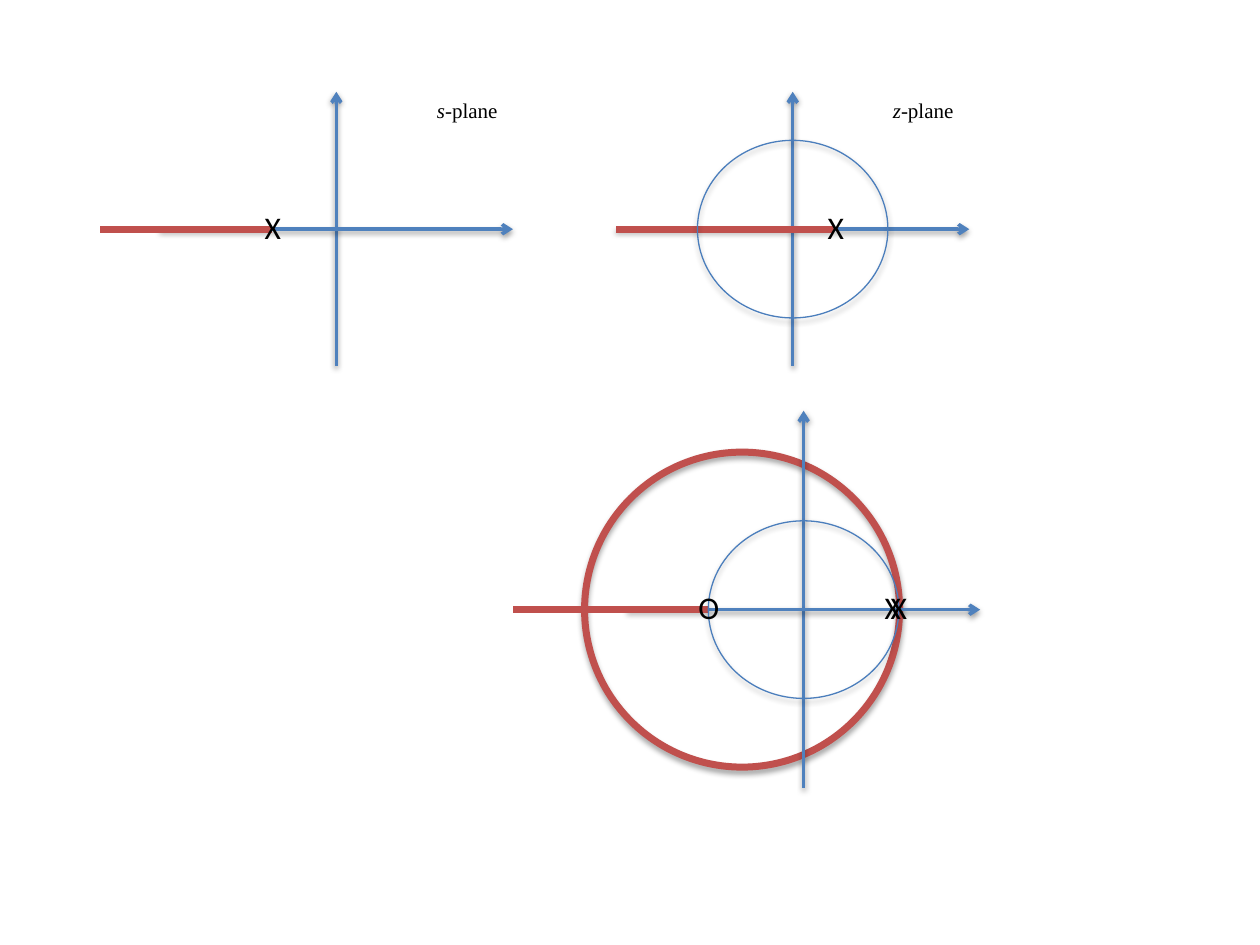
"""Build a slide of root-locus sketches in the s-plane and the z-plane."""
from lxml.etree import SubElement
from pptx import Presentation
from pptx.dml.color import RGBColor
from pptx.enum.shapes import MSO_CONNECTOR as CONN, MSO_SHAPE as SHAPE
from pptx.enum.text import MSO_AUTO_SIZE as AUTO, PP_ALIGN as ALIGN
from pptx.oxml.ns import qn
from pptx.util import Cm, Pt

BLACK = RGBColor(0x00, 0x00, 0x00)
AXIS = RGBColor(0x4F, 0x81, 0xBD)
UNIT = RGBColor(0x4B, 0x7E, 0xBC)
LOCUS = RGBColor(0xC0, 0x50, 0x4D)
AXIS_HALF = 3.56
UNIT_SIZE = (3.84, 3.58)


def set_shadow(sp, alpha=None, dist=0):
    """Replace the theme effect by a downward shadow, or by none."""
    effects = SubElement(sp._element.spPr, qn("a:effectLst"))
    if alpha:
        outer = SubElement(effects, qn("a:outerShdw"), blurRad="40000",
                           dist=str(dist), dir="5400000", rotWithShape="0")
        color = SubElement(outer, qn("a:srgbClr"), val=str(BLACK))
        SubElement(color, qn("a:alpha"), val=str(alpha * 1000))


def add_line(s, x1, y1, x2, y2, color, width):
    """Add a straight line and return it."""
    ln = s.shapes.add_connector(CONN.STRAIGHT, Cm(x1), Cm(y1), Cm(x2), Cm(y2))
    ln.line.color.rgb = color
    ln.line.width = Pt(width)
    return ln


def add_axis(s, x1, y1, x2, y2):
    """Add a shadowed axis with an arrowhead at its end."""
    ln = add_line(s, x1, y1, x2, y2, AXIS, 2)
    SubElement(ln.line._get_or_add_ln(), qn("a:tailEnd"), type="arrow")
    set_shadow(ln, 38, 20000)


def add_axes(s, x, y, bottom, top):
    """Add both axes of a plane with its origin at (x, y)."""
    add_axis(s, x, bottom, x, top)
    add_axis(s, x - AXIS_HALF, y, x + AXIS_HALF, y)


def add_locus(s, x1, x2, y):
    """Add a real-axis branch of the locus."""
    set_shadow(add_line(s, x1, y, x2, y, LOCUS, 4))


def add_circle(s, x, y, w, h, color, width):
    """Add an unfilled ellipse centred on (x, y)."""
    sp = s.shapes.add_shape(SHAPE.OVAL, Cm(x - w / 2), Cm(y - h / 2), Cm(w), Cm(h))
    sp.fill.background()
    sp.line.color.rgb = color
    sp.line.width = Pt(width)
    set_shadow(sp, 35, 23000)


def add_text(s, x, y, w, h, text, size=18, font="Calibri", italic="", align=ALIGN.LEFT):
    """Add a one-line text box, optionally led by an italic part."""
    tf = s.shapes.add_textbox(Cm(x), Cm(y), Cm(w), Cm(h)).text_frame
    tf.word_wrap = False
    tf.auto_size = AUTO.SHAPE_TO_FIT_TEXT
    p = tf.paragraphs[0]
    p.alignment = align
    for part, slanted in ((italic, True), (text, False)):
        if part:
            r = p.add_run()
            r.text = part
            r.font.size = Pt(size)
            r.font.name = font
            r.font.italic = slanted
            r.font.color.rgb = BLACK


def add_mark(s, x, y, text, w=0.84):
    """Add a pole or zero mark centred on the real axis."""
    add_text(s, x - w / 2, y - 0.56, w, 1.02, text, align=ALIGN.CENTER)


def add_label(s, x, letter):
    """Add the name of a plane."""
    add_text(s, x, 1.85, 1.78, 0.76, "-plane", size=12,
             font="Times New Roman", italic=letter)


def add_s_plane(s, x, y):
    """Draw the s-plane with a single pole."""
    add_axes(s, x, y, 7.37, 1.85)
    add_locus(s, 5.49, 2.01, y)
    add_mark(s, 5.5, y, "X")
    add_label(s, 8.56, "s")


def add_z_plane(s, x, y):
    """Draw the z-plane with a single pole."""
    add_axes(s, x, y, 7.37, 1.85)
    add_locus(s, 16.81, 12.42, y)
    add_circle(s, x, y, *UNIT_SIZE, UNIT, 0.75)
    add_mark(s, 16.85, y, "X")
    add_label(s, 17.75, "z")


def add_double_pole_plane(s, x, y):
    """Draw the z-plane with two poles, a zero and a circular locus."""
    add_circle(s, 14.96, y, 6.35, 6.35, LOCUS, 4)
    add_axes(s, x, y, 15.88, 8.28)
    add_locus(s, 14.27, 10.34, y)
    add_circle(s, x, y, *UNIT_SIZE, UNIT, 0.75)
    for pole in (18, 18.12):
        add_mark(s, pole, y, "X")
    add_mark(s, 14.29, y, "O", w=0.94)


def main():
    """Build and save the slide."""
    prs = Presentation()
    prs.slide_width, prs.slide_height = Cm(25.4), Cm(19.05)
    s = prs.slides.add_slide(prs.slide_layouts[6])
    add_s_plane(s, 6.78, 4.62)
    add_z_plane(s, 15.98, 4.62)
    add_double_pole_plane(s, 16.2, 12.29)
    prs.save("out.pptx")


if __name__ == "__main__":
    main()
